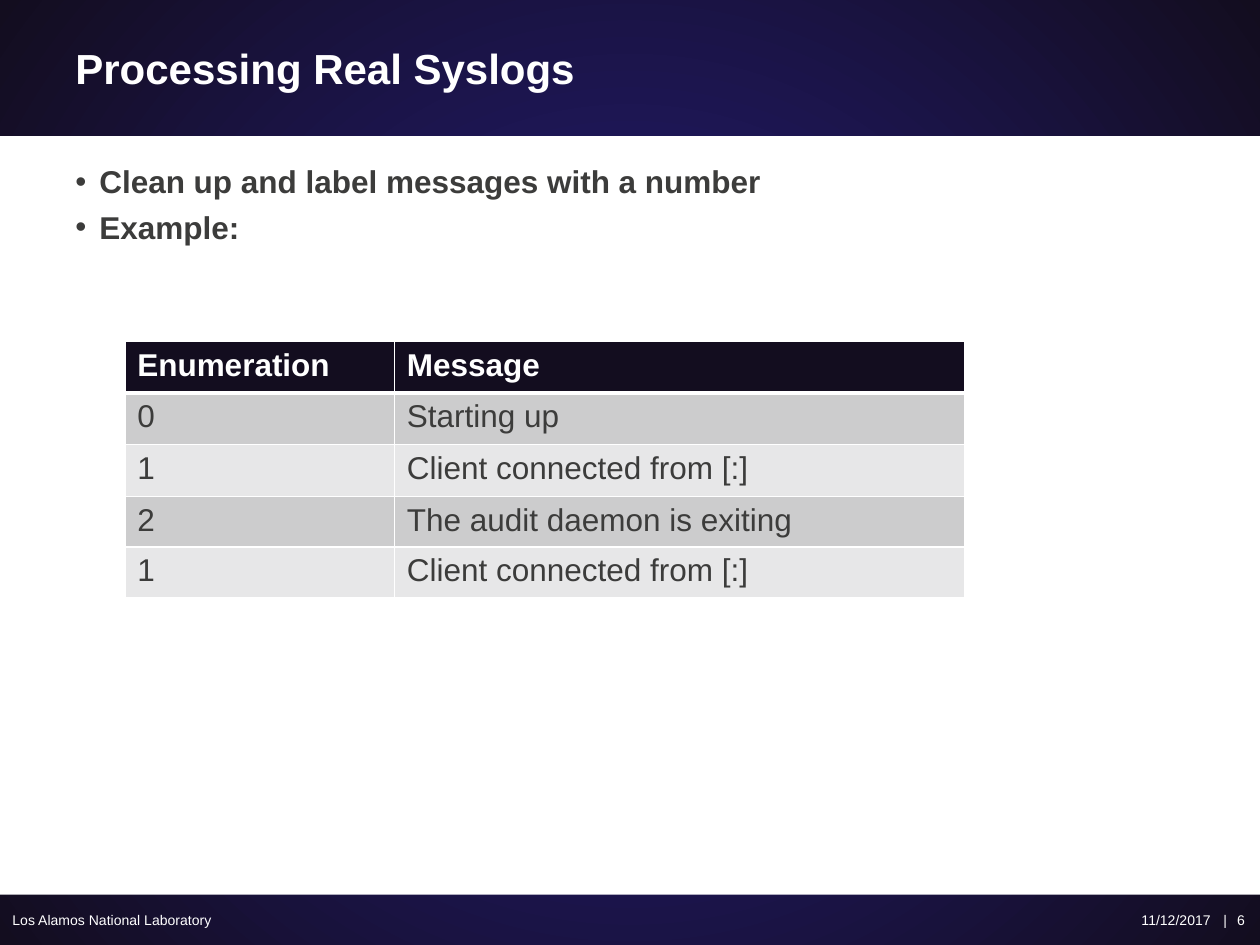
from dataclasses import dataclass

from lxml import etree
from pptx import Presentation
from pptx.dml.color import RGBColor
from pptx.enum.shapes import MSO_SHAPE
from pptx.enum.text import MSO_ANCHOR
from pptx.oxml.ns import qn
from pptx.util import Inches, Pt

RECT = MSO_SHAPE.RECTANGLE
MIDDLE, TOP = MSO_ANCHOR.MIDDLE, MSO_ANCHOR.TOP


@dataclass(frozen=True)
class Theme:
    font: str = "Arial"
    glow: str = "251D7D"
    dark: str = "130D1F"
    white: str = "FFFFFF"
    ink: str = "3C3C3B"
    bands: tuple = ("CCCCCD", "E7E7E8")
    title: int = 24
    body: int = 18
    foot: int = 8


@dataclass(frozen=True)
class Box:
    left: float
    top: float
    width: float
    height: float

    def place(self) -> tuple:
        return tuple(map(Inches, (self.left, self.top, self.width, self.height)))


@dataclass(frozen=True)
class Style:
    size: int
    color: str
    bold: bool = False


THEME = Theme()
HEAD = Style(THEME.title, THEME.white, True)
POINT = Style(THEME.body, THEME.ink, True)
LABEL = Style(THEME.body, THEME.white, True)
CELL = Style(THEME.body, THEME.ink)
FOOT = Style(THEME.foot, THEME.white)

POINTS = ["Clean up and label messages with a number", "Example:"]
ROWS = [
    ("Enumeration", "Message"),
    ("0", "Starting up"),
    ("1", "Client connected from [:]"),
    ("2", "The audit daemon is exiting"),
    ("1", "Client connected from [:]"),
]
COLS = [2.14, 4.53]
HEIGHTS = [0.41, 0.41, 0.41, 0.39, 0.39]


def rgb(code: str) -> RGBColor:
    return RGBColor.from_string(code)


def add_run(para, text: str, style: Style) -> None:
    run = para.add_run()
    run.text = text
    font = run.font
    font.name, font.size, font.bold = THEME.font, Pt(style.size), style.bold
    font.color.rgb = rgb(style.color)


def add_box(slide, box: Box, anchor):
    frame = slide.shapes.add_textbox(*box.place()).text_frame
    frame.word_wrap = True
    frame.vertical_anchor = anchor
    return frame


def add_line(slide, box: Box, text: str, style: Style) -> None:
    add_run(add_box(slide, box, MIDDLE).paragraphs[0], text, style)


def paint_back(slide) -> None:
    fill = slide.background.fill
    fill.gradient()
    for stop, color, spot in zip(fill.gradient_stops, (THEME.glow, THEME.dark), (0, 1)):
        stop.color.rgb = rgb(color)
        stop.position = spot
    # Turn the linear blend into a circular one
    grad = slide.element.find(".//" + qn("a:gradFill"))
    grad.remove(grad.find(qn("a:lin")))
    ring = etree.SubElement(grad, qn("a:path"), {"path": "circle"})
    etree.SubElement(ring, qn("a:fillToRect"), dict.fromkeys("ltrb", "50000"))


def add_points(slide, box: Box, points: list[str]) -> None:
    frame = add_box(slide, box, TOP)
    for i, text in enumerate(points):
        para = frame.add_paragraph() if i else frame.paragraphs[0]
        props = para._p.get_or_add_pPr()
        props.set("marL", str(Inches(0.19)))
        props.set("indent", str(-Inches(0.19)))
        etree.SubElement(props, qn("a:buFont"), typeface=THEME.font)
        etree.SubElement(props, qn("a:buChar"), char="•")
        if i:
            para.space_before = Pt(4.3)
        add_run(para, text, POINT)


def add_edges(cell, top: int, bottom: int) -> None:
    props = cell._tc.get_or_add_tcPr()
    for side, width in (("L", 1), ("R", 1), ("T", top), ("B", bottom)):
        line = etree.SubElement(props, qn(f"a:ln{side}"), w=str(Pt(width)))
        fill = etree.SubElement(line, qn("a:solidFill"))
        etree.SubElement(fill, qn("a:srgbClr"), val=THEME.white)


def add_grid(slide, box: Box) -> None:
    table = slide.shapes.add_table(len(ROWS), len(COLS), *box.place()).table
    for col, width in zip(table.columns, COLS):
        col.width = Inches(width)
    for i, (row, height, texts) in enumerate(zip(table.rows, HEIGHTS, ROWS)):
        row.height = Inches(height)
        for cell, text in zip(row.cells, texts):
            # The rule under the header is thicker
            add_edges(cell, 3 if i == 1 else 1, 1 if i else 3)
            cell.fill.solid()
            cell.fill.fore_color.rgb = rgb(THEME.bands[(i - 1) % 2] if i else THEME.dark)
            add_run(cell.text_frame.paragraphs[0], text, CELL if i else LABEL)


def add_date(slide, box: Box) -> None:
    frame = add_box(slide, box, MIDDLE)
    frame.margin_left = Inches(1.4)
    frame.margin_right = 0
    para = frame.paragraphs[0]
    tabs = etree.SubElement(para._p.get_or_add_pPr(), qn("a:tabLst"))
    for spot in (0.65, 0.76):
        etree.SubElement(tabs, qn("a:tab"), pos=str(Inches(spot)), algn="l")
    for text in ("11/12/2017", "\t|", "\t6"):
        add_run(para, text, FOOT)


def main() -> None:
    deck = Presentation()
    deck.slide_width, deck.slide_height = Inches(10), Inches(7.5)
    slide = deck.slides.add_slide(deck.slide_layouts[6])

    # Backdrop and white panel
    paint_back(slide)
    panel = slide.shapes.add_shape(RECT, *Box(0, 1.08, 10, 6.02).place())
    panel.shadow.inherit = False
    panel.fill.solid()
    panel.fill.fore_color.rgb = rgb(THEME.white)
    panel.line.fill.background()

    # Title and footer
    add_line(slide, Box(0.5, 0, 9, 1.08), "Processing Real Syslogs", HEAD)
    add_date(slide, Box(7.66, 7.1, 2.33, 0.4))
    add_line(slide, Box(0, 7.1, 3.62, 0.4), "Los Alamos National Laboratory", FOOT)

    # Body
    add_points(slide, Box(0.5, 1.24, 9, 5.68), POINTS)
    add_grid(slide, Box(0.99, 2.71, sum(COLS), sum(HEIGHTS)))

    deck.save("out.pptx")


if __name__ == "__main__":
    main()
